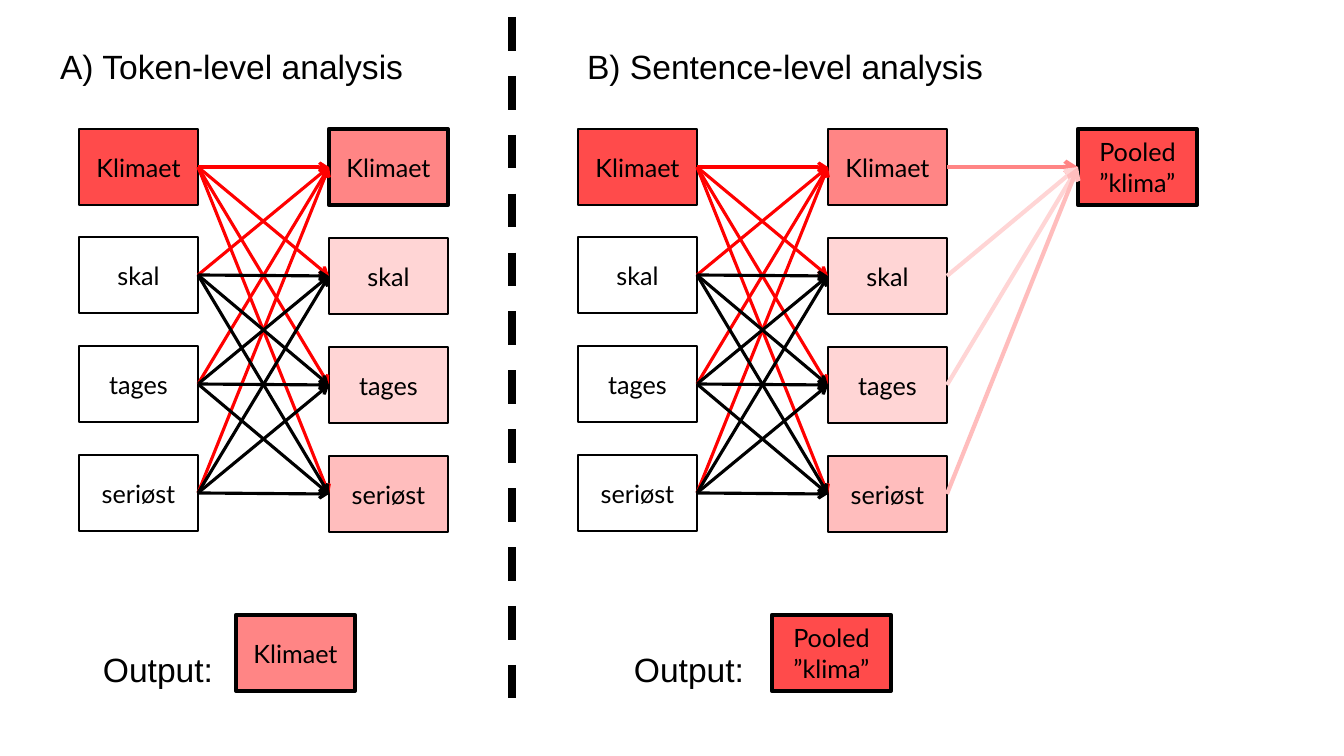
import itertools

import pptx
import pptx.dml.color
import pptx.enum.dml
import pptx.enum.shapes
import pptx.enum.text
import pptx.oxml
import pptx.oxml.ns
import pptx.util

PX = 914400 / 100.8
COLORS = {
    "black": "000000", "white": "FFFFFF", "link": "FF0000",
    "strong": "FF4B4B", "medium": "FF8585", "soft": "FFBDBD", "pale": "FFD5D5",
}
WORDS = ["Klimaet", "skal", "tages", "seriøst"]
INPUT_FILLS = ["strong", "white", "white", "white"]
CONTEXT_FILLS = ["medium", "pale", "pale", "soft"]
POOLED = "Pooled\n”klima”"
BOX_W, BOX_H = 119, 76
COLUMN_STEP = 250
THIN, MID, THICK = 1.5, 2.25, 3


def px(n):
    return pptx.util.Emu(round(n * PX))


def rgb(name):
    return pptx.dml.color.RGBColor.from_string(COLORS[name])


def write(sp, text, font, size, align, anchor):
    tf = sp.text_frame
    tf.text = text
    tf.word_wrap = True
    tf.auto_size = pptx.enum.text.MSO_AUTO_SIZE.NONE
    tf.vertical_anchor = anchor
    for p in tf.paragraphs:
        p.alignment = align
        p.space_before = pptx.util.Pt(0)
        for r in p.runs:
            r.font.name = font
            r.font.size = pptx.util.Pt(size)
            r.font.bold = False
            r.font.color.rgb = rgb("black")


def label(sp, text, left, top, width):
    sp.left, sp.top, sp.width, sp.height = px(left), px(top), px(width), px(50)
    write(sp, text, "Arial", 24, pptx.enum.text.PP_ALIGN.LEFT,
          pptx.enum.text.MSO_ANCHOR.TOP)


def token_box(s, text, left, top, fill, weight=THIN):
    sp = s.shapes.add_shape(pptx.enum.shapes.MSO_SHAPE.RECTANGLE,
                            px(left), px(top), px(BOX_W), px(BOX_H))
    sp.shadow.inherit = False
    sp.fill.solid()
    sp.fill.fore_color.rgb = rgb(fill)
    sp.line.color.rgb = rgb("black")
    sp.line.width = pptx.util.Pt(weight)
    write(sp, text, "Lato", 18, pptx.enum.text.PP_ALIGN.CENTER,
          pptx.enum.text.MSO_ANCHOR.MIDDLE)
    return sp


def token_column(s, left, top, span, fills, first_weight=THIN):
    """Four token boxes, the last one starting span px below the first."""
    weights = [first_weight, THIN, THIN, THIN]
    return [token_box(s, word, left, top + span * i // 3, fill, weight)
            for i, (word, fill, weight) in enumerate(zip(WORDS, fills, weights))]


def line(s, color, weight, x1=0, y1=0, x2=0, y2=0):
    cx = s.shapes.add_connector(pptx.enum.shapes.MSO_CONNECTOR.STRAIGHT,
                                px(x1), px(y1), px(x2), px(y2))
    cx.line.color.rgb = rgb(color)
    cx.line.width = pptx.util.Pt(weight)
    pptx.oxml.ns.qn("a:effectLst")
    cx.line._get_or_add_ln().addnext(
        pptx.oxml.parse_xml('<a:effectLst %s/>' % pptx.oxml.ns.nsdecls("a")))
    return cx


def arrow(s, source, target, color, weight):
    cx = line(s, color, weight)
    cx.begin_connect(source, 3)
    cx.end_connect(target, 1)
    cx.line._get_or_add_ln().append(pptx.oxml.parse_xml(
        '<a:tailEnd %s type="arrow"/>' % pptx.oxml.ns.nsdecls("a")))


def attention(s, left, top, first_weight=THIN):
    """Input tokens, contextual tokens and an arrow for every pair."""
    inputs = token_column(s, left, top, 326, INPUT_FILLS)
    contexts = token_column(s, left + COLUMN_STEP, top, 327, CONTEXT_FILLS,
                            first_weight)
    # Pairs that involve the first token are red and lie below the black ones
    for i, j in sorted(itertools.product(range(4), repeat=2), key=min):
        arrow(s, inputs[i], contexts[j], "black" if min(i, j) else "link", MID)
    return contexts


def pooling(s, left, top, contexts):
    pooled = token_box(s, POOLED, left, top, "strong", THICK)
    for context, color in zip(contexts, CONTEXT_FILLS):
        arrow(s, context, pooled, color, THICK)


def output(s, left, top, text, fill, gap):
    label(s.shapes.add_textbox(0, 0, 0, 0), "Output:", left, top + 29, 396)
    token_box(s, text, left + gap, top, fill, THICK)


def token_panel(s, heading, left, top):
    label(heading, "A) Token-level analysis", left, top, 396)
    attention(s, left + 29, top + 88, THICK)
    output(s, left + 43, top + 574, "Klimaet", "medium", 143)


def sentence_panel(s, heading, left, top):
    label(heading, "B) Sentence-level analysis", left, top, 528)
    contexts = attention(s, left + 1, top + 88)
    pooling(s, left + 1 + 2 * COLUMN_STEP, top + 88, contexts)
    output(s, left + 47, top + 574, POOLED, "strong", 148)


def main():
    prs = pptx.Presentation()
    prs.slide_width, prs.slide_height = px(1344), px(756)
    # Comparison layout: one heading placeholder per panel
    s = prs.slides.add_slide(prs.slide_layouts[4])
    headings = {}
    for sp in list(s.placeholders):
        if sp.placeholder_format.idx in (1, 3):
            headings[sp.placeholder_format.idx] = sp
        else:
            sp.element.getparent().remove(sp.element)

    token_panel(s, headings[1], 50, 41)
    sentence_panel(s, headings[3], 577, 41)

    # Divider between the panels
    divider = line(s, "black", 6, 512, 17, 512, 711)
    divider.line.dash_style = pptx.enum.dml.MSO_LINE.DASH
    prs.save("out.pptx")


if __name__ == "__main__":
    main()
